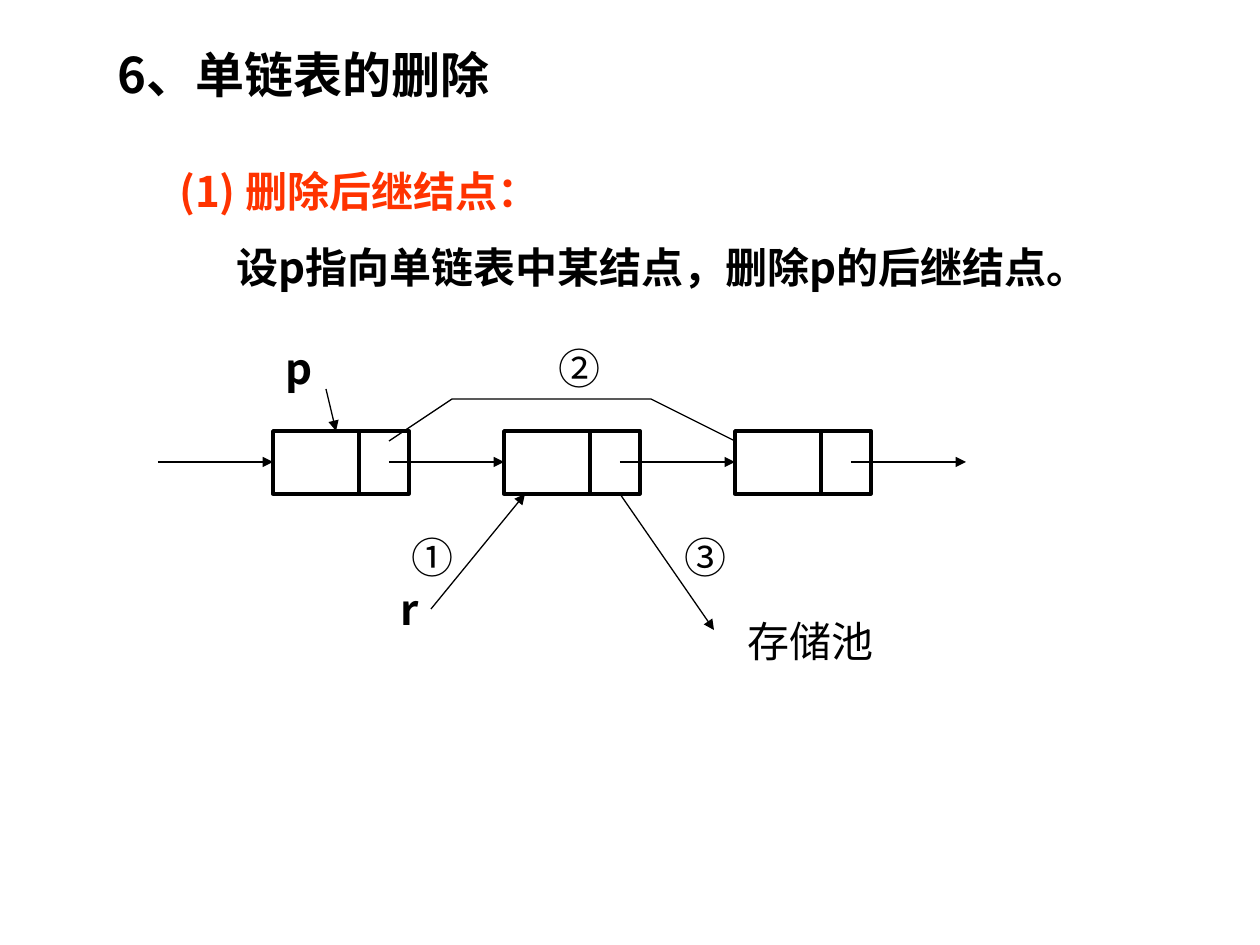
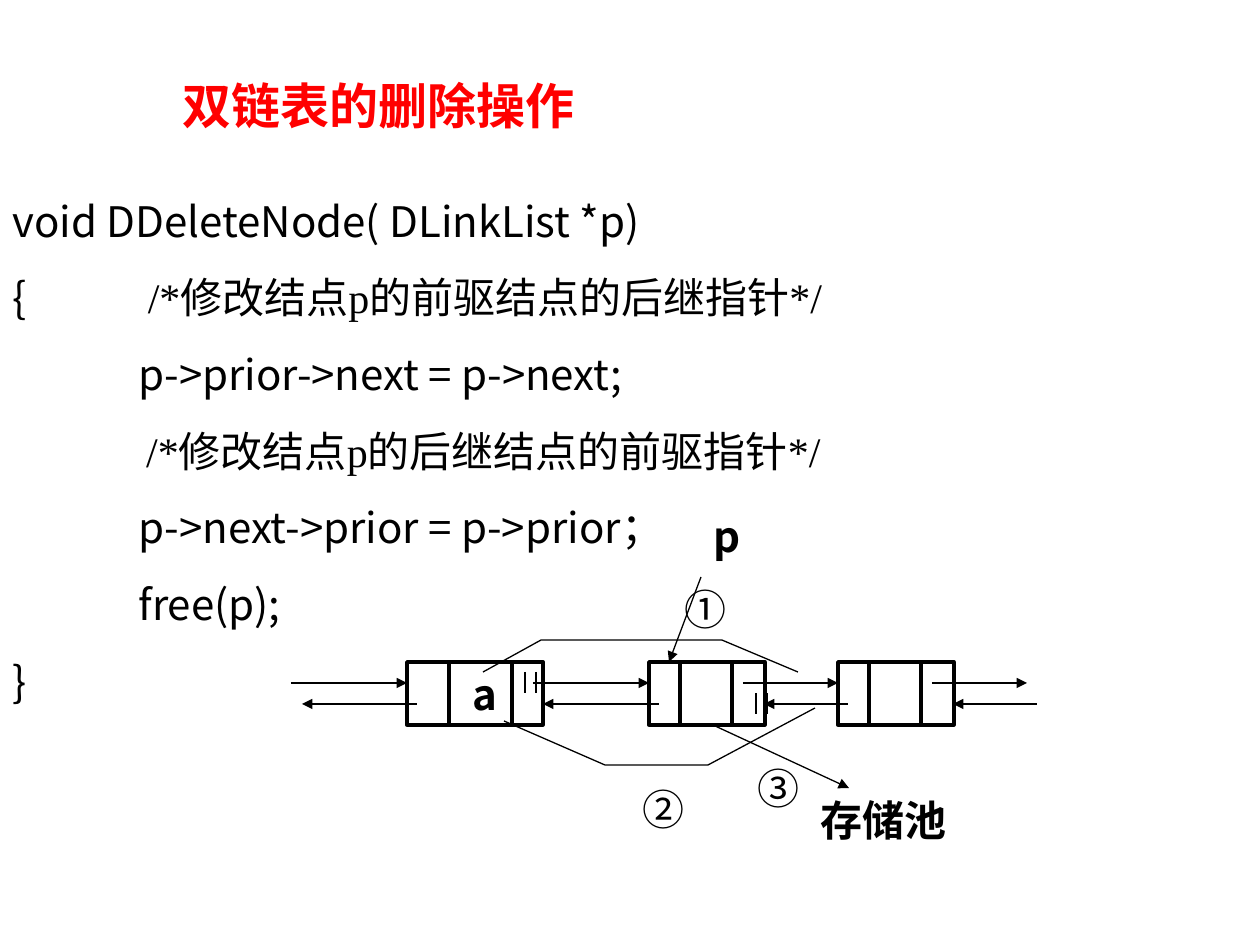
from lxml.etree import SubElement
from pptx import Presentation
from pptx.dml.color import RGBColor
from pptx.enum.shapes import MSO_CONNECTOR as Connector, MSO_SHAPE as Shape
from pptx.enum.text import MSO_ANCHOR as Anchor, MSO_AUTO_SIZE as AutoSize, PP_ALIGN as Align
from pptx.oxml.ns import qn
from pptx.util import Pt

PX = 914400 / 126
WIDTH, HEIGHT = 1260, 945
COLORS = {"ink": "000000", "paper": "FFFFFF", "heading": "FF3300", "title": "FF0000"}
SANS, LABEL, SERIF = "Noto Sans CJK SC", "Noto Sans CJK JP", "Times New Roman"
THIN, THICK = 0.75, 2
LABEL_HEIGHT = NODE_HEIGHT = 63
TITLE_FRAME = {"word_wrap": True, "auto_size": AutoSize.NONE, "vertical_anchor": Anchor.TOP}
BODY_FRAME = {"word_wrap": True, "vertical_anchor": Anchor.TOP}

# Content: a paragraph is (left indent, runs), a run is (text, format)
HEADING = {"font": SANS, "bold": True, "color": "heading"}
STATEMENT = {"font": SANS, "bold": True}
CODE = {"font": SANS}
COMMENT = {"font": SERIF}

# Nodes are (left, width, divider offsets); labels are (text, left, top, width, bold)
SINGLE_STEP = 231
SINGLE_LIST = {
    "title": ("6、单链表的删除", (105, 38, 484, 72), SANS, "ink"),
    "body": ((158, 159, 1047, 190), [
        (9, [("(1) 删除后继结点：", HEADING)]),
        (66, [("设p指向单链表中某结点，删除p的后继结点。", STATEMENT)]),
    ]),
    "node_top": 431,
    "nodes": [(273 + SINGLE_STEP * i, 136, (86,)) for i in range(3)],
    "arrows": [((158 + SINGLE_STEP * i, 462), (273 + SINGLE_STEP * i, 462)) for i in range(4)]
    + [((326, 389), (336, 431)), ((431, 609), (525, 494)), ((620, 494), (714, 630))],
    "cuts": [],
    "bypasses": [[(389, 441), (452, 399), (651, 399), (735, 441)]],
    "labels": [
        ("p", 273, 336, 73, True),
        ("r", 388, 577, 73, True),
        ("①", 399, 525, 105, False),
        ("②", 546, 336, 116, False),
        ("③", 672, 525, 116, False),
        ("存储池", 735, 609, 231, False),
    ],
}

NEXT_SPANS = [(291, 407), (533, 649), (743, 838), (932, 1027)]
PRIOR_SPANS = [(417, 302), (659, 543), (848, 764), (1037, 953)]
DOUBLE_LIST = {
    "title": ("双链表的删除操作", (170, 69, 420, 72), SERIF, "title"),
    "body": ((0, 189, 1068, 600), [
        (0, [("void DDeleteNode( DLinkList *p)", CODE)]),
        (0, [("{\t ", CODE), ("/*修改结点p的前驱结点的后继指针*/", COMMENT)]),
        (0, [("\tp->prior->next = p->next;", CODE)]),
        (0, [("\t ", {"font": SANS, "size": 20}), ("/*修改结点p的后继结点的前驱指针*/", COMMENT)]),
        (0, [("\tp->next->prior = p->prior；", CODE)]),
        (0, [("\tfree(p);", CODE)]),
        (0, [("}", CODE)]),
    ]),
    "node_top": 662,
    "nodes": [(407, 136, (42, 105)), (649, 116, (31, 83)), (838, 116, (31, 83))],
    "arrows": [((start, 683), (end, 683)) for start, end in NEXT_SPANS]
    + [((start, 704), (end, 704)) for start, end in PRIOR_SPANS]
    + [((701, 577), (669, 662)), ((713, 725), (849, 788))],
    "cuts": [(525, 672), (756, 693)],
    "bypasses": [
        [(483, 672), (541, 640), (722, 640), (798, 672)],
        [(815, 708), (708, 765), (605, 765), (504, 721)],
    ],
    "labels": [
        ("p", 701, 504, 73, True),
        ("a", 460, 662, 42, True),
        ("①", 672, 577, 73, False),
        ("②", 630, 777, 73, False),
        ("③", 745, 756, 63, False),
        ("存储池", 808, 788, 158, True),
    ],
}


def px(*lengths):
    return [round(length * PX) for length in lengths]


def color(name):
    return RGBColor.from_string(COLORS[name])


def set_values(target, values):
    for name, value in values.items():
        setattr(target, name, value)


def add_run(paragraph, text, font, size=24, bold=False, color_name="ink"):
    run = paragraph.add_run()
    run.text = text
    set_values(run.font, {"name": font, "size": Pt(size), "bold": bold})
    run.font.color.rgb = color(color_name)
    east_asian = SANS if font == SERIF else font
    SubElement(run.font._element, qn("a:ea"), typeface=east_asian)


def add_tabs(paragraph):
    tabs = SubElement(paragraph._p.get_or_add_pPr(), qn("a:tabLst"))
    for inch in range(1, 8):
        SubElement(tabs, qn("a:tab"), pos=str(inch * 914400), algn="l")


def add_title(slide, text, box, font, color_name):
    title = slide.shapes.title
    set_values(title, dict(zip(("left", "top", "width", "height"), px(*box))))
    set_values(title.text_frame, TITLE_FRAME)
    paragraph = title.text_frame.paragraphs[0]
    paragraph.alignment = Align.LEFT
    add_run(paragraph, text, font, 28, True, color_name)


def add_body(slide, box, paragraphs):
    shape = slide.shapes.add_shape(Shape.RECTANGLE, *px(*box))
    shape.shadow.inherit = False
    shape.fill.solid()
    shape.fill.fore_color.rgb = color("paper")
    shape.line.fill.background()
    frame = shape.text_frame
    set_values(frame, BODY_FRAME)
    for index, (indent, runs) in enumerate(paragraphs):
        paragraph = frame.add_paragraph() if index else frame.paragraphs[0]
        add_tabs(paragraph)
        paragraph.alignment = Align.LEFT
        paragraph._p.get_or_add_pPr().set("marL", str(px(indent)[0]))
        if index:
            paragraph.space_before = Pt(15)
        for text, style in runs:
            add_run(paragraph, text, style["font"], style.get("size", 24),
                    style.get("bold", False), style.get("color", "ink"))


def set_line(shape, width):
    shape.line.width = Pt(width)
    shape.line.color.rgb = color("ink")


def add_line(slide, start, end, width=THIN, arrow=False):
    line = slide.shapes.add_connector(Connector.STRAIGHT, *px(*start, *end))
    set_line(line, width)
    if arrow:
        SubElement(line.line._get_or_add_ln(), qn("a:tailEnd"), type="triangle")
    SubElement(line._element.spPr, qn("a:effectLst"))


def add_node(slide, left, top, width, dividers):
    node = slide.shapes.add_shape(Shape.RECTANGLE, *px(left, top, width, NODE_HEIGHT))
    node.shadow.inherit = False
    node.fill.background()
    set_line(node, THICK)
    for offset in dividers:
        x = left + offset
        add_line(slide, (x, top), (x, top + NODE_HEIGHT), THICK)


def add_bypass(slide, points):
    builder = slide.shapes.build_freeform(*points[0], scale=PX)
    builder.add_line_segments(points[1:], close=False)
    bypass = builder.convert_to_shape()
    bypass.shadow.inherit = False
    bypass.fill.background()
    set_line(bypass, THIN)


def add_label(slide, text, left, top, width, bold):
    label = slide.shapes.add_textbox(*px(left, top, width, LABEL_HEIGHT))
    label.text_frame.word_wrap = True
    add_run(label.text_frame.paragraphs[0], text, LABEL, bold=bold)


def build_slide(presentation, content):
    slide = presentation.slides.add_slide(presentation.slide_layouts[5])
    add_title(slide, *content["title"])
    add_body(slide, *content["body"])
    # Linked list
    for left, width, dividers in content["nodes"]:
        add_node(slide, left, content["node_top"], width, dividers)
    for start, end in content["arrows"]:
        add_line(slide, start, end, arrow=True)
    # Deletion steps
    for points in content["bypasses"]:
        add_bypass(slide, points)
    for left, top in content["cuts"]:
        for x in (left, left + 11):
            add_line(slide, (x, top), (x, top + 21))
    for label in content["labels"]:
        add_label(slide, *label)


def main():
    presentation = Presentation()
    presentation.slide_width, presentation.slide_height = px(WIDTH, HEIGHT)
    for content in (SINGLE_LIST, DOUBLE_LIST):
        build_slide(presentation, content)
    presentation.save("out.pptx")


if __name__ == "__main__":
    main()
